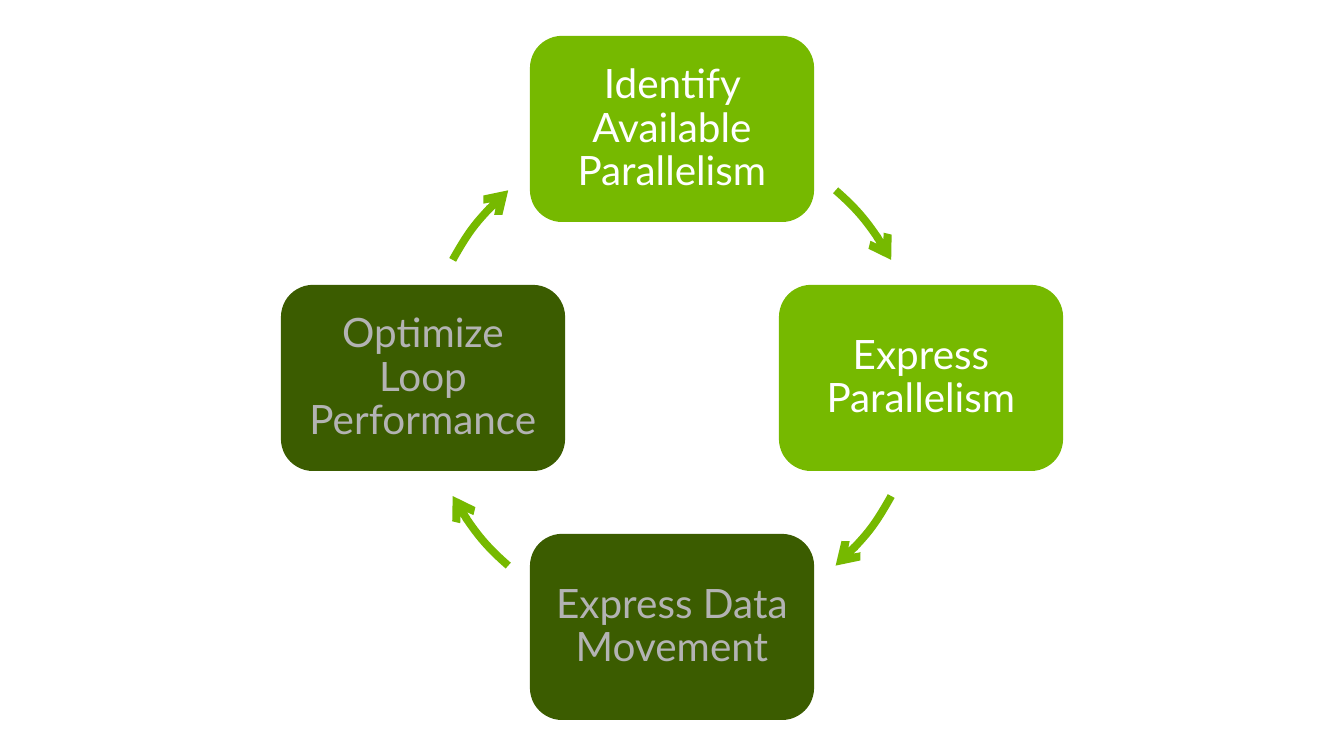
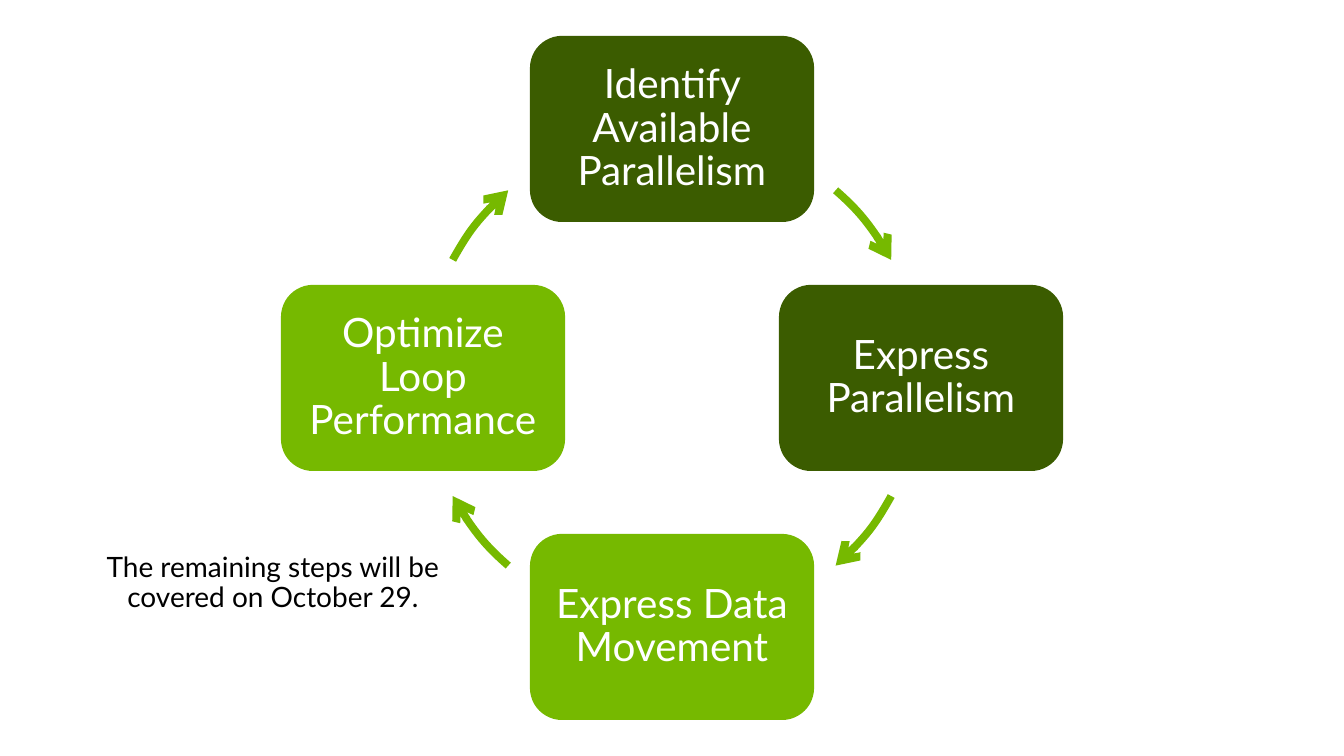
"""Build two slides that show a four-step parallelisation cycle."""
import dataclasses
import math

import lxml.etree
import pptx
import pptx.dml.color
import pptx.enum.shapes
import pptx.enum.text
import pptx.oxml.ns
import pptx.shapes.autoshape
import pptx.slide
import pptx.util


@dataclasses.dataclass(frozen=True)
class Theme:
    bright: str = "76B900"
    dark: str = "3B5C00"
    white: str = "FFFFFF"
    muted: str = "B3B3B3"
    black: str = "000000"
    font: str = "Lato"
    step_size: int = 26
    note_size: int = 18
    line_spacing: float = 0.9
    outline: int = 2
    arrow: int = 5


@dataclasses.dataclass(frozen=True)
class Look:
    fill: str
    text: str


@dataclasses.dataclass(frozen=True)
class Cycle:
    active: tuple[int, ...]
    idle: Look
    note: str = ""


THEME = Theme()
ACTIVE = Look(THEME.bright, THEME.white)
STEPS = (
    "Identify Available Parallelism",
    "Express Parallelism",
    "Express Data Movement",
    "Optimize Loop Performance",
)
CYCLES = (
    Cycle((0, 1), Look(THEME.dark, THEME.muted)),
    Cycle((2, 3), Look(THEME.dark, THEME.white),
          "The remaining steps will be covered on October 29."),
)
PX_PER_INCH = 112
PAGE_WIDTH, PAGE_HEIGHT = 1344, 756
CENTER_X, CENTER_Y = PAGE_WIDTH // 2, PAGE_HEIGHT // 2
RADIUS = 249
STEP_WIDTH, STEP_HEIGHT, STEP_INSET = 281, 183, 12
NOTE_AREA = (92, 547, 362, 73)
ARROW_ANGLES = ((311.1, 331.7), (28.3, 48.9), (131.1, 151.7), (208.3, 228.9))
ARC_UNITS_PER_DEGREE = 0.6


def px(length: float) -> pptx.util.Emu:
    """Turn pixels into EMU."""
    return pptx.util.Emu(round(length * 914400 / PX_PER_INCH))


def color(value: str) -> pptx.dml.color.RGBColor:
    """Turn a hex string into a colour."""
    return pptx.dml.color.RGBColor.from_string(value)


def write(box: pptx.shapes.autoshape.Shape, text: str, size: int, ink: str) -> None:
    """Write centred, wrapped text into a shape."""
    frame = box.text_frame
    frame.text = text
    frame.word_wrap = True
    frame.vertical_anchor = pptx.enum.text.MSO_ANCHOR.MIDDLE
    para = frame.paragraphs[0]
    para.alignment = pptx.enum.text.PP_ALIGN.CENTER
    para.line_spacing = THEME.line_spacing
    span = para.runs[0]
    span.font.name = THEME.font
    span.font.size = pptx.util.Pt(size)
    span.font.color.rgb = color(ink)


def draw_step(page: pptx.slide.Slide, index: int, look: Look) -> None:
    """Draw one step at its quarter of the circle, clockwise from the top."""
    angle = math.radians(90 * index - 90)
    left = CENTER_X + RADIUS * math.cos(angle) - STEP_WIDTH / 2
    top = CENTER_Y + RADIUS * math.sin(angle) - STEP_HEIGHT / 2
    box = page.shapes.add_shape(
        pptx.enum.shapes.MSO_SHAPE.ROUNDED_RECTANGLE,
        px(left), px(top), px(STEP_WIDTH), px(STEP_HEIGHT))
    box.shadow.inherit = False
    box.fill.solid()
    box.fill.fore_color.rgb = color(look.fill)
    box.line.color.rgb = color(look.fill)
    box.line.width = pptx.util.Pt(THEME.outline)
    frame = box.text_frame
    frame.margin_left = frame.margin_right = px(STEP_INSET)
    frame.margin_top = frame.margin_bottom = px(STEP_INSET)
    write(box, STEPS[index], THEME.step_size, look.text)


def draw_arrow(page: pptx.slide.Slide, start: float, end: float) -> None:
    """Draw a clockwise arc with an arrowhead between two angles in degrees."""
    arc = page.shapes.add_shape(
        pptx.enum.shapes.MSO_SHAPE.ARC,
        px(CENTER_X - RADIUS), px(CENTER_Y - RADIUS), px(2 * RADIUS), px(2 * RADIUS))
    arc.adjustments[0] = start * ARC_UNITS_PER_DEGREE
    arc.adjustments[1] = end * ARC_UNITS_PER_DEGREE
    arc.shadow.inherit = False
    arc.fill.background()
    arc.line.color.rgb = color(THEME.bright)
    arc.line.width = pptx.util.Pt(THEME.arrow)
    outline = arc.element.spPr.find(pptx.oxml.ns.qn("a:ln"))
    lxml.etree.SubElement(outline, pptx.oxml.ns.qn("a:tailEnd"), type="arrow")


def draw_cycle(page: pptx.slide.Slide, cycle: Cycle) -> None:
    """Draw the steps, the arrows and the optional note of one cycle."""
    for index, angles in enumerate(ARROW_ANGLES):
        draw_step(page, index, ACTIVE if index in cycle.active else cycle.idle)
        draw_arrow(page, *angles)
    if cycle.note:
        box = page.shapes.add_textbox(*map(px, NOTE_AREA))
        write(box, cycle.note, THEME.note_size, THEME.black)


def main() -> None:
    """Build and save the deck."""
    deck = pptx.Presentation()
    deck.slide_width, deck.slide_height = px(PAGE_WIDTH), px(PAGE_HEIGHT)
    blank = deck.slide_layouts.get_by_name("Blank")
    for cycle in CYCLES:
        draw_cycle(deck.slides.add_slide(blank), cycle)
    deck.save("out.pptx")


if __name__ == "__main__":
    main()
